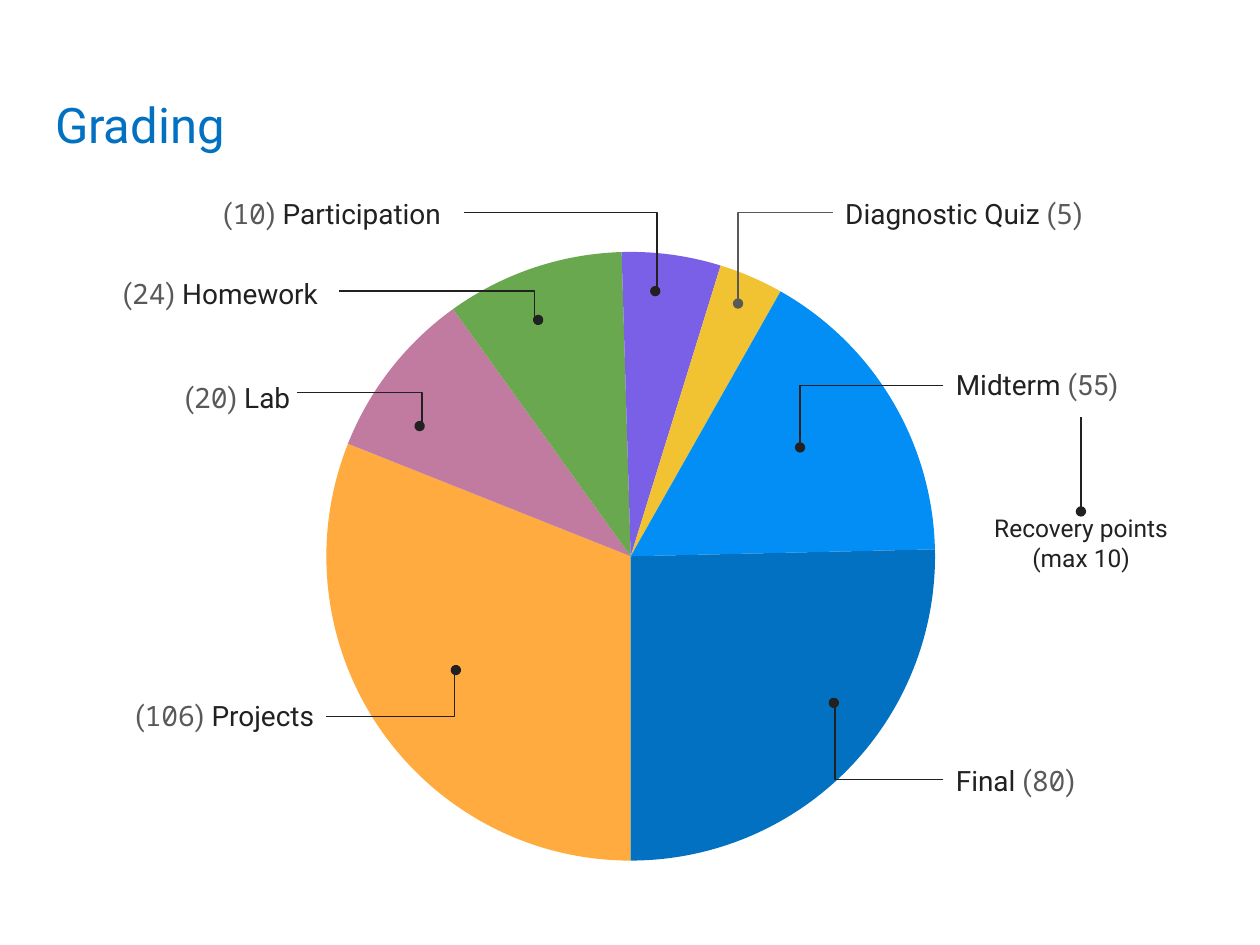
"""Build a grading slide: a pie of wedges with labelled leader lines."""
from lxml.etree import SubElement as Sub
from pptx import Presentation
from pptx.dml.color import RGBColor as RGB
from pptx.enum.shapes import MSO_CONNECTOR as Link, MSO_SHAPE as Shape
from pptx.enum.text import MSO_ANCHOR as Anchor, PP_ALIGN as Align
from pptx.oxml.ns import qn
from pptx.util import Cm, Pt

INK = RGB(0x21, 0x21, 0x21)
GREY = RGB(0x59, 0x59, 0x59)
NAVY = RGB(0x03, 0x71, 0xC1)
BLUE = RGB(0x03, 0x8E, 0xF5)
ORANGE = RGB(0xFF, 0xAB, 0x40)
PINK = RGB(0xC2, 0x7B, 0xA0)
GREEN = RGB(0x6A, 0xA8, 0x4F)
PURPLE = RGB(0x7A, 0x5F, 0xE7)
YELLOW = RGB(0xF1, 0xC2, 0x32)

SANS, MONO = "Roboto", "Noto Sans Mono"
PIE = (6.58, 5.08, 12.27, 12.27)
ROW = 1.27

WEDGES = [
    (90, ORANGE), (201.7, PINK), (234.3, GREEN), (268.3, PURPLE),
    (287.2, YELLOW), (299.5, BLUE), (358.7, NAVY),
]

LEFT = [
    ("Participation", "10", MONO, (4.14, 3.66, 5)),
    ("Homework", "24", MONO, (1.12, 5.28, 5.54)),
    ("Lab", "20", MONO, (0.28, 7.37, 5.82)),
    ("Projects", "106", MONO, (1.22, 13.79, 5.36)),
]
RIGHT = [
    ("Diagnostic Quiz", "5", MONO, (16.79, 3.66, 6.25)),
    ("Midterm", "55", SANS, (19.02, 7.11, 5.54)),
    ("Final", "80", MONO, (19.02, 15.09, 5.54)),
]

LEADERS = [
    ((9.35, 4.29, 13.21, 5.87), 1.01, INK),
    ((6.83, 5.87, 10.85, 6.45), 0.98, INK),
    ((5.99, 7.92, 8.46, 8.59), 1.02, INK),
    ((6.58, 14.45, 9.19, 13.51), 0.99, INK),
    ((16.79, 4.29, 14.88, 6.12), 1, GREY),
    ((19.02, 7.77, 16.13, 9.02), 1, INK),
    ((19.02, 15.72, 16.81, 14.17), 0.99, INK),
    ((21.79, 8.41, 21.79, 10.31), None, INK),
]


def add_wedge(slide, start, end, color):
    pie = slide.shapes.add_shape(Shape.PIE, *map(Cm, PIE))
    pie.shadow.inherit = False
    pie.adjustments[0], pie.adjustments[1] = start * 0.6, end * 0.6
    pie.fill.solid()
    pie.fill.fore_color.rgb = color
    pie.line.fill.background()


def add_text(slide, box, lines, size, align, anchor=Anchor.MIDDLE):
    frame = slide.shapes.add_textbox(*map(Cm, box)).text_frame
    frame.word_wrap = True
    frame.vertical_anchor = anchor
    frame.margin_left = frame.margin_right = Cm(0.25)
    frame.margin_top = frame.margin_bottom = Cm(0.25)
    for i, runs in enumerate(lines):
        para = frame.add_paragraph() if i else frame.paragraphs[0]
        para.alignment = align
        for text, face, color in runs:
            run = para.add_run()
            run.text = text
            run.font.name, run.font.size = face, Pt(size)
            run.font.color.rgb = color


def add_leader(slide, ends, bend, color):
    kind = Link.STRAIGHT if bend is None else Link.ELBOW
    line = slide.shapes.add_connector(kind, *map(Cm, ends))
    line.line.color.rgb = color
    line.line.width = Pt(0.75)
    props = line._element.spPr
    Sub(props.find(qn("a:ln")), qn("a:tailEnd"), type="oval")
    Sub(props, qn("a:effectLst"))
    if bend is not None:
        guides = props.find(qn("a:prstGeom")).find(qn("a:avLst"))
        Sub(guides, qn("a:gd"), name="adj1", fmla=f"val {round(bend * 100000)}")


def score(points, face):
    return [("(", SANS, GREY), (points, face, GREY), (")", SANS, GREY)]


def main():
    deck = Presentation()
    deck.slide_width, deck.slide_height = Cm(25.4), Cm(19.05)
    slide = deck.slides.add_slide(deck.slide_layouts[6])
    add_text(slide, (0.86, 1.65, 23.67, 2.11), [[("Grading", SANS, NAVY)]],
             28, Align.LEFT, Anchor.TOP)
    for (start, color), (end, _) in zip(WEDGES, WEDGES[1:] + WEDGES[:1]):
        add_wedge(slide, start, end, color)
    for ends, bend, color in LEADERS:
        add_leader(slide, ends, bend, color)
    for name, points, face, box in LEFT:
        runs = score(points, face) + [(f" {name}", SANS, INK)]
        add_text(slide, (*box, ROW), [runs], 16, Align.RIGHT)
    for name, points, face, box in RIGHT:
        runs = [(f"{name} ", SANS, INK)] + score(points, face)
        add_text(slide, (*box, ROW), [runs], 16, Align.LEFT)
    notes = [[(text, SANS, INK)] for text in ("Recovery points", "(max 10)")]
    add_text(slide, (18.67, 10.31, 6.25, ROW), notes, 14, Align.CENTER)
    deck.save("out.pptx")


if __name__ == "__main__":
    main()
